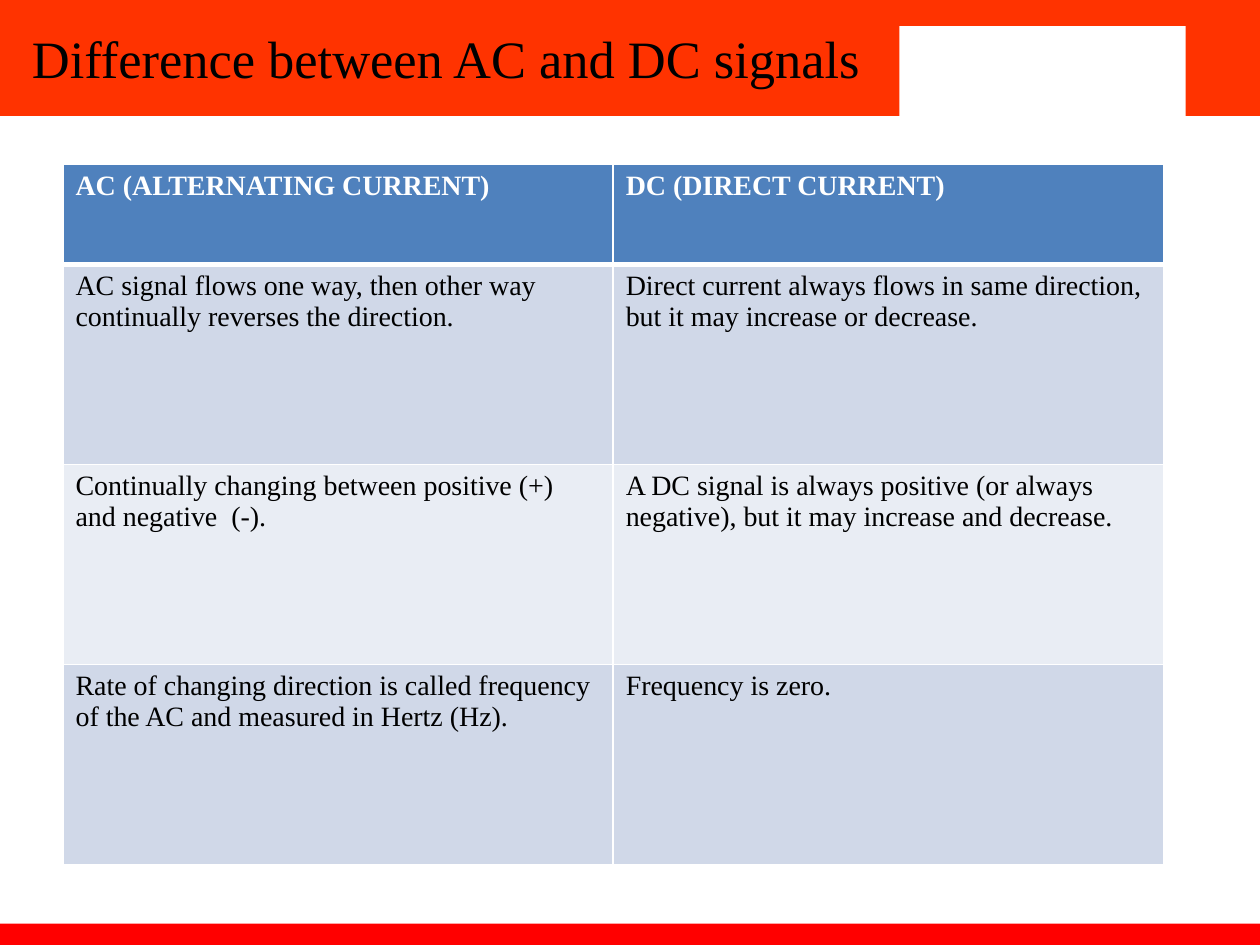
from lxml.etree import SubElement
from pptx import Presentation
from pptx.dml.color import RGBColor as RGB
from pptx.enum.shapes import MSO_SHAPE as Kind
from pptx.enum.text import MSO_ANCHOR as Anchor, PP_ALIGN as Align
from pptx.oxml.ns import qn
from pptx.util import Pt

# Content
TITLE = "Difference between AC and DC signals"
ROWS = [
    ("AC (ALTERNATING CURRENT)", "DC (DIRECT CURRENT)"),
    ("AC signal flows one way, then other way continually reverses the direction.",
     "Direct current always flows in same direction, but it may increase or decrease."),
    ("Continually changing between positive (+) and negative  (-).",
     "A DC signal is always positive (or always negative), but it may increase and decrease."),
    ("Rate of changing direction is called frequency of the AC and measured in Hertz (Hz).",
     "Frequency is zero."),
]
HEX = {"band": "FF3300", "foot": "FF0000", "white": "FFFFFF", "black": "000000",
       "head": "4F81BD", "odd": "D0D8E8", "even": "E9EDF4"}
FONT = "Times New Roman"

# Layout, in points
WIDE, HIGH = 720, 540
BAND = 66.24
BARS = [  # colour, left, top, width, height
    ("band", 0, 0, WIDE, BAND),
    ("foot", 0, 527.8, WIDE, 15.8),
    ("band", 484, 0, WIDE - 484, BAND),
    ("white", 514, 15, 163.5, 54),
]
LEFT, TOP, COL = 36, 93.8, 314.4
HEAD, BODY = 57.2, 114.4


def style(par, size, color, bold=False):
    font = par.font
    font.name, font.size, font.bold = FONT, Pt(size), bold
    font.color.rgb = RGB.from_string(HEX[color])


def edge(cell, low):
    """White cell borders; low is the width of the bottom one."""
    props = cell._tc.get_or_add_tcPr()
    for side, width in (("L", 1), ("R", 1), ("T", 1), ("B", low)):
        line = SubElement(props, qn(f"a:ln{side}"), w=str(Pt(width)))
        fill = SubElement(line, qn("a:solidFill"))
        SubElement(fill, qn("a:srgbClr"), val=HEX["white"])


deck = Presentation()
deck.slide_width, deck.slide_height = Pt(WIDE), Pt(HIGH)
slide = deck.slides.add_slide(deck.slide_layouts[5])
shapes = slide.shapes

# Header and footer bars
for color, *box in BARS:
    bar = shapes.add_shape(Kind.RECTANGLE, *map(Pt, box))
    bar.shadow.inherit = False
    bar.fill.solid()
    bar.fill.fore_color.rgb = RGB.from_string(HEX[color])
    bar.line.fill.background()

# Title, brought in front of the bars
title = shapes.title
title.element.getparent().append(title.element)
title.left, title.top, title.width, title.height = map(Pt, (0, 0, 510, BAND))
frame = title.text_frame
frame.text = TITLE
frame.word_wrap = True
frame.vertical_anchor = Anchor.MIDDLE
frame.paragraphs[0].alignment = Align.CENTER
style(frame.paragraphs[0], 30, "black")

# Comparison table
highs = [HEAD] + [BODY] * (len(ROWS) - 1)
table = shapes.add_table(len(ROWS), 2, Pt(LEFT), Pt(TOP),
                         Pt(2 * COL), Pt(sum(highs))).table
for col in table.columns:
    col.width = Pt(COL)
for r, (texts, high) in enumerate(zip(ROWS, highs)):
    table.rows[r].height = Pt(high)
    top = r == 0
    shade = "head" if top else "odd" if r % 2 else "even"
    for c, text in enumerate(texts):
        cell = table.cell(r, c)
        cell.text = text
        style(cell.text_frame.paragraphs[0], 16, "white" if top else "black", top)
        edge(cell, 3 if top else 1)
        cell.fill.solid()
        cell.fill.fore_color.rgb = RGB.from_string(HEX[shade])

deck.save("out.pptx")
